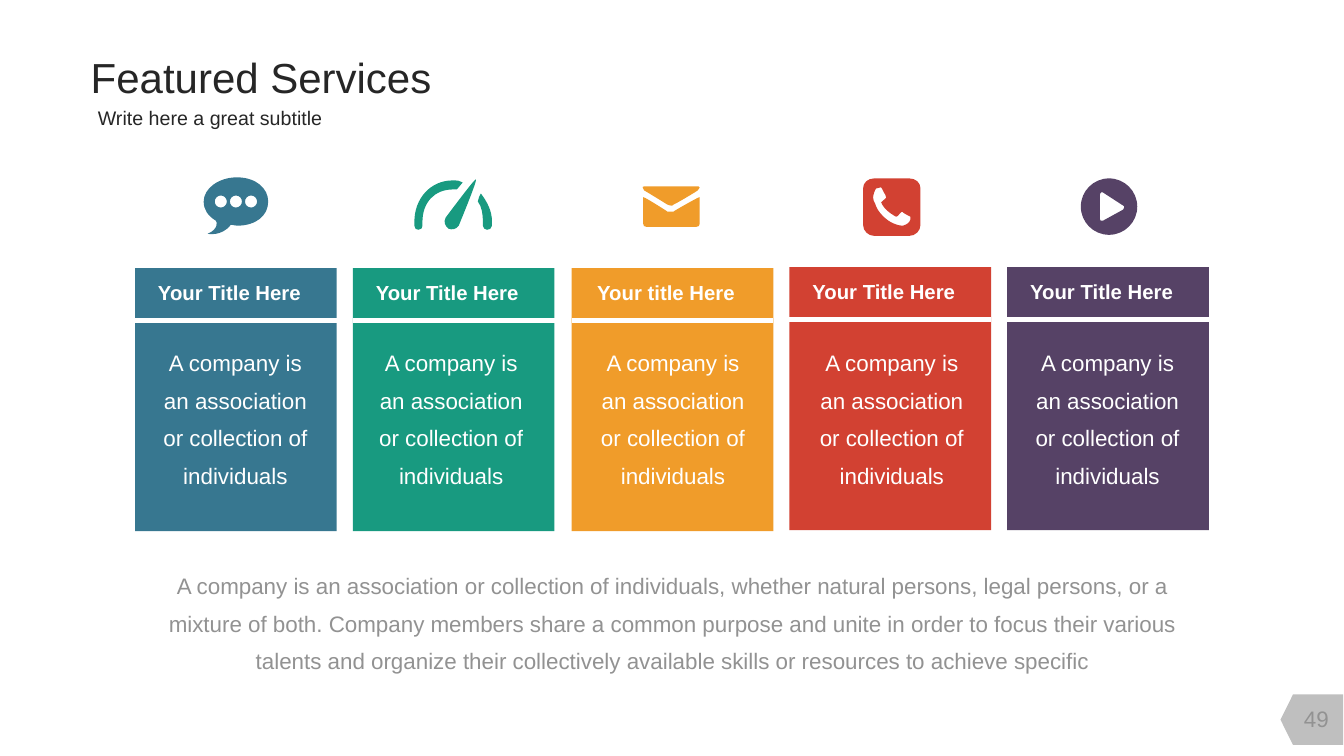
from lxml import etree
from pptx import Presentation
from pptx.dml.color import RGBColor
from pptx.enum.shapes import MSO_CONNECTOR, MSO_SHAPE
from pptx.enum.text import MSO_ANCHOR, MSO_AUTO_SIZE, PP_ALIGN
from pptx.oxml.ns import qn
from pptx.util import Inches, Pt

WIDTH, HEIGHT = 13.33, 7.5
INK, GREY, PALE, WHITE = "262626", "929292", "BFBFBF", "FFFFFF"
CARD_WIDTH, CARD_HEIGHT, RULE_OFFSET = 2, 2.61, 0.52
BODY_TOP = 3.31
CARD_TEXT = "A company is an association or collection of individuals"
SUMMARY = (
    "A company is an association or collection of individuals, whether natural persons, "
    "legal persons, or a mixture of both. Company members share a common purpose and unite "
    "in order to focus their various talents and organize their collectively available "
    "skills or resources to achieve specific"
)
SEGMENTS = {"M": ("a:moveTo", 1), "L": ("a:lnTo", 1), "C": ("a:cubicBezTo", 3)}


def circle(x, y, radius):
    """Return the outline of a circle as four Bezier curves."""
    k = 0.55 * radius
    left, right, top, bottom = x - radius, x + radius, y - radius, y + radius
    return (f"M {left} {y} C {left} {y - k} {x - k} {top} {x} {top} "
            f"C {x + k} {top} {right} {y - k} {right} {y} "
            f"C {right} {y + k} {x + k} {bottom} {x} {bottom} "
            f"C {x - k} {bottom} {left} {y + k} {left} {y} Z ")


# Outlines in hundredths of an inch
CHAT = ("M 33 48 C 31 48 29 47 27 47 C 18 59 4 56 4 56 C 14 52 14 44 12 43 "
        "C 4 38 0 32 0 24 C 0 11 15 0 33 0 C 52 0 64 11 64 24 C 64 38 52 48 33 48 Z "
        + "".join(circle(x, 24, 6) for x in (17, 32, 47)))
GAUGE = ("M 31 39 C 29 43 30 47 34 50 C 37 51 41 51 44 47 C 46 42 63 1 61 1 C 60 0 34 35 31 39 Z "
         "M 38 11 C 40 11 41 11 42 11 C 45 8 46 6 48 4 C 45 2 42 2 38 2 C 16 2 0 20 0 43 "
         "C 0 44 0 46 0 47 C 0 50 2 51 4 51 C 7 51 8 49 8 47 C 8 46 8 44 8 43 "
         "C 8 24 20 11 38 11 Z "
         "M 66 15 C 64 17 64 20 63 23 C 67 28 68 36 68 43 C 68 44 68 46 68 47 "
         "C 68 49 70 51 72 51 C 74 51 77 50 77 47 C 77 46 77 44 77 43 C 77 32 72 23 66 15 Z")
ENVELOPE = ("M 3 4 C 5 5 26 18 26 18 C 28 19 29 19 30 19 C 31 19 32 19 32 18 "
            "C 33 18 55 5 56 4 C 58 2 59 0 57 0 L 3 0 C 0 0 2 2 3 4 Z "
            "M 57 11 C 56 11 33 24 32 25 C 32 25 31 25 30 25 C 29 25 28 25 26 25 "
            "C 25 24 4 11 3 11 C 2 10 2 11 2 11 L 2 37 C 2 39 3 40 5 40 L 55 40 "
            "C 57 40 58 39 58 37 L 58 11 C 58 11 58 10 57 11 Z")
PHONE = ("M 57 46 C 57 52 52 57 46 57 L 11 57 C 5 57 0 52 0 46 L 0 10 C 0 4 5 0 11 0 "
         "L 46 0 C 52 0 57 4 57 10 L 57 46 Z "
         "M 47 38 C 47 38 41 35 40 34 C 39 34 39 33 39 33 C 37 33 35 38 33 38 "
         "C 32 38 31 37 31 37 C 26 34 22 31 19 26 C 19 25 18 24 18 24 C 18 23 23 20 23 19 "
         "C 23 18 22 17 22 16 C 21 15 19 10 18 9 C 18 9 18 9 17 9 C 16 9 14 10 13 10 "
         "C 12 11 10 16 10 19 C 10 21 11 24 12 25 C 14 33 23 42 31 45 C 34 46 36 47 39 47 "
         "C 40 47 45 45 46 43 C 47 42 47 40 47 39 C 47 39 47 39 47 38 Z")
PLAY = (circle(28, 28, 28)
        + "M 43 29 C 43 28 43 27 42 27 L 22 14 C 22 14 21 14 20 14 C 19 15 19 16 19 16 L 19 40 "
          "C 19 41 19 42 20 42 C 21 42 21 42 22 42 L 42 31 C 43 30 43 30 43 29 Z")

# Title, color, card left and top, body left, icon outline, icon left and top
SERVICES = [
    ("Your Title Here", "377790", (1.34, 2.66), 1.51, CHAT, (2.02, 1.76)),
    ("Your Title Here", "189A80", (3.5, 2.66), 3.65, GAUGE, (4.11, 1.78)),
    ("Your title Here", "F09C2A", (5.67, 2.66), 5.85, ENVELOPE, (6.38, 1.85)),
    ("Your Title Here", "D24132", (7.83, 2.65), 8.02, PHONE, (8.56, 1.77)),
    ("Your Title Here", "564266", (9.99, 2.65), 10.16, PLAY, (10.72, 1.77)),
]


def rgb(value):
    return RGBColor.from_string(value)


def paint(shape, color):
    shape.shadow.inherit = False
    shape.fill.solid()
    shape.fill.fore_color.rgb = rgb(color)
    shape.line.fill.background()


def place(shape, box):
    shape.left, shape.top, shape.width, shape.height = map(Inches, box)


def write(shape, text, size, color, align=PP_ALIGN.CENTER, bold=False, spacing=1.0,
          anchor=MSO_ANCHOR.TOP, margins=(0.1, 0.05, 0.1, 0.05), wrap=True):
    frame = shape.text_frame
    frame.word_wrap = wrap
    frame.auto_size = MSO_AUTO_SIZE.SHAPE_TO_FIT_TEXT
    frame.vertical_anchor = anchor
    (frame.margin_left, frame.margin_top,
     frame.margin_right, frame.margin_bottom) = map(Inches, margins)
    paragraph = frame.paragraphs[0]
    paragraph.alignment = align
    paragraph.line_spacing = spacing
    paragraph.space_before = Pt(0)
    run = paragraph.add_run()
    run.text = text
    run.font.name, run.font.size, run.font.bold = "Arial", Pt(size), bold
    run.font.color.rgb = rgb(color)


def add_text(slide, box, *args, **options):
    write(slide.shapes.add_textbox(*map(Inches, box)), *args, **options)


def read_outline(outline):
    """Yield each command with its points, in thousandths of an inch."""
    tokens = iter(outline.split())
    for command in tokens:
        count = SEGMENTS[command][1] if command in SEGMENTS else 0
        yield command, [tuple(round(float(next(tokens)) * 10) for _ in "xy")
                        for _ in range(count)]


def add_icon(slide, corner, outline, color):
    commands = list(read_outline(outline))
    ends = [points[-1] for _, points in commands if points]
    builder = slide.shapes.build_freeform(*ends[0], scale=Inches(0.001))
    builder.add_line_segments(ends[1:])
    icon = builder.convert_to_shape(*map(Inches, corner))
    icon.left, icon.top = map(Inches, corner)
    left, top = (min(values) for values in zip(*ends))
    geometry = next(icon.element.iter(qn("a:path")))
    for segment in list(geometry):
        geometry.remove(segment)
    for command, points in commands:
        name = SEGMENTS[command][0] if points else "a:close"
        segment = etree.SubElement(geometry, qn(name))
        for x, y in points:
            etree.SubElement(segment, qn("a:pt"), x=str(x - left), y=str(y - top))
    paint(icon, color)


def add_card(slide, box, body_left, title, color):
    left, top, width, height = box
    paint(slide.shapes.add_shape(MSO_SHAPE.RECTANGLE, *map(Inches, box)), color)
    rule_top = top + RULE_OFFSET
    rule = slide.shapes.add_connector(
        MSO_CONNECTOR.STRAIGHT, *map(Inches, (left, rule_top, left + width, rule_top)))
    rule.line.color.rgb = rgb(WHITE)
    rule.line.width = Pt(3)
    etree.SubElement(rule.element.spPr, qn("a:effectLst"))
    add_text(slide, (left, top + 0.12, width, 0.24), title, 14.5, WHITE,
             bold=True, margins=(0, 0, 0.13, 0))
    add_text(slide, (body_left, BODY_TOP, 1.65, 1.61), CARD_TEXT, 16, WHITE, spacing=1.4)


def add_heading(slide):
    title, subtitle = slide.placeholders
    for shape, box, text, size in (
        (title, (0.77, 0.44, 3.68, 0.64), "Featured Services", 30),
        (subtitle, (0.84, 0.98, 2.56, 0.37), "Write here a great subtitle", 14),
    ):
        place(shape, box)
        write(shape, text, size, INK, align=PP_ALIGN.LEFT, anchor=MSO_ANCHOR.MIDDLE,
              margins=(0.13, 0.07, 0.13, 0.07), wrap=False)


def add_page_number(slide, number):
    tag = slide.shapes.add_shape(MSO_SHAPE.FLOWCHART_OFFPAGE_CONNECTOR,
                                 *map(Inches, (12.76, 6.83, 0.5, 0.62)))
    tag.rotation = 90
    paint(tag, PALE)
    add_text(slide, (12.72, 6.93, 0.67, 0.4), number, 16, GREY, anchor=MSO_ANCHOR.MIDDLE)


def main():
    presentation = Presentation()
    presentation.slide_width, presentation.slide_height = Inches(WIDTH), Inches(HEIGHT)
    slide = presentation.slides.add_slide(presentation.slide_layouts[0])
    add_page_number(slide, "49")
    add_heading(slide)
    for title, color, corner, body_left, outline, icon_corner in SERVICES:
        add_card(slide, (*corner, CARD_WIDTH, CARD_HEIGHT), body_left, title, color)
        add_icon(slide, icon_corner, outline, color)
    add_text(slide, (1.33, 5.52, 10.68, 1.19), SUMMARY, 16, GREY, spacing=1.4)
    presentation.save("out.pptx")


if __name__ == "__main__":
    main()
